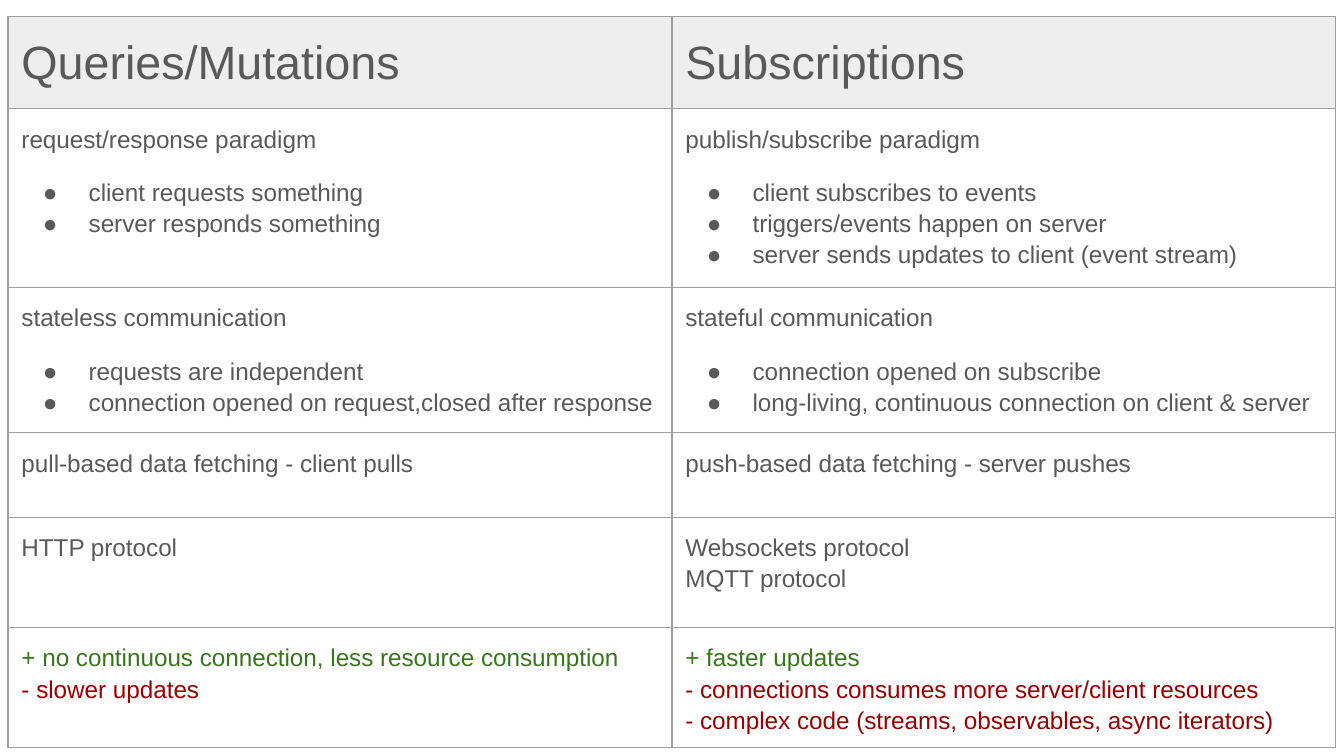
"""Build a slide with a table comparing queries/mutations and subscriptions."""
from lxml.etree import SubElement
from pptx import Presentation
from pptx.dml.color import RGBColor
from pptx.enum.text import MSO_ANCHOR
from pptx.oxml.ns import qn
from pptx.util import Inches, Pt

GREY = RGBColor(0x59, 0x59, 0x59)
GREEN = RGBColor(0x38, 0x76, 0x1D)
RED = RGBColor(0x99, 0x00, 0x00)
HEADER_FILL = RGBColor(0xEE, 0xEE, 0xEE)
BORDER = RGBColor(0x9E, 0x9E, 0x9E)
SIGN_COLOURS = {"+": GREEN, "-": RED}
BULLET = "● "

COMPARISON = [
    ("Queries/Mutations", "Subscriptions"),
    ("request/response paradigm\n● client requests something\n● server responds something",
     "publish/subscribe paradigm\n● client subscribes to events\n"
     "● triggers/events happen on server\n● server sends updates to client (event stream)"),
    ("stateless communication\n● requests are independent\n"
     "● connection opened on request,closed after response",
     "stateful communication\n● connection opened on subscribe\n"
     "● long-living, continuous connection on client & server"),
    ("pull-based data fetching - client pulls", "push-based data fetching - server pushes"),
    ("HTTP protocol", "Websockets protocol\vMQTT protocol"),
    ("+ no continuous connection, less resource consumption\v- slower updates",
     "+ faster updates\v- connections consumes more server/client resources\v"
     "- complex code (streams, observables, async iterators)"),
]
ROW_HEIGHTS = [0.69, 1.33, 1.08, 0.63, 0.82, 0.83]


def add_colour(parent, colour):
    SubElement(SubElement(parent, qn("a:solidFill")), qn("a:srgbClr"), val=str(colour))


def add_bullet(paragraph):
    properties = paragraph._p.get_or_add_pPr()
    properties.set("marL", str(Inches(0.5)))
    properties.set("indent", str(Inches(-0.34)))
    SubElement(SubElement(properties, qn("a:buClr")), qn("a:srgbClr"), val=str(GREY))
    SubElement(properties, qn("a:buFont"), typeface="Arial")
    SubElement(properties, qn("a:buChar"), char=BULLET.strip())


presentation = Presentation()
presentation.slide_width = Inches(10)
presentation.slide_height = presentation.slide_width * 9 // 16
slide = presentation.slides.add_slide(presentation.slide_layouts[6])

column_width = int(presentation.slide_width * 0.494)
margin = (presentation.slide_width - 2 * column_width) // 2
comparison = slide.shapes.add_table(
    len(COMPARISON), 2, margin, Inches(0.12),
    2 * column_width, Inches(sum(ROW_HEIGHTS))).table
comparison.first_row = False
comparison.horz_banding = False
for column in comparison.columns:
    column.width = column_width

for row, (height, entries) in enumerate(zip(ROW_HEIGHTS, COMPARISON)):
    comparison.rows[row].height = Inches(height)
    size = Pt(13 if row else 25)
    for column, entry in enumerate(entries):
        cell = comparison.cell(row, column)
        cell.margin_left = cell.margin_right = Inches(0.1)
        cell.margin_top = cell.margin_bottom = Inches(0.1)
        cell.vertical_anchor = MSO_ANCHOR.TOP
        for side in ("lnL", "lnR", "lnT", "lnB"):
            add_colour(SubElement(cell._tc.get_or_add_tcPr(), qn(f"a:{side}"),
                                  w=str(Pt(0.75))), BORDER)
        if row:
            cell.fill.background()
        else:
            cell.fill.solid()
            cell.fill.fore_color.rgb = HEADER_FILL

        cell.text_frame.text = entry.replace(BULLET, "")
        paragraphs = cell.text_frame.paragraphs
        for index, (paragraph, line) in enumerate(zip(paragraphs, entry.split("\n"))):
            paragraph.line_spacing = 1.15
            paragraph.space_before = Pt(12 if index == 1 else 0)
            paragraph.space_after = Pt(12 if len(paragraphs) == 1 else 0)
            if line.startswith(BULLET):
                add_bullet(paragraph)
            for run in paragraph.runs:
                run.font.name = "Arial"
                run.font.size = size
                run.font.color.rgb = SIGN_COLOURS.get(run.text[0], GREY)
            for line_break in paragraph._p.findall(qn("a:br")):
                SubElement(line_break, qn("a:rPr"), sz=str(int(size.pt * 100)))

presentation.save("out.pptx")
